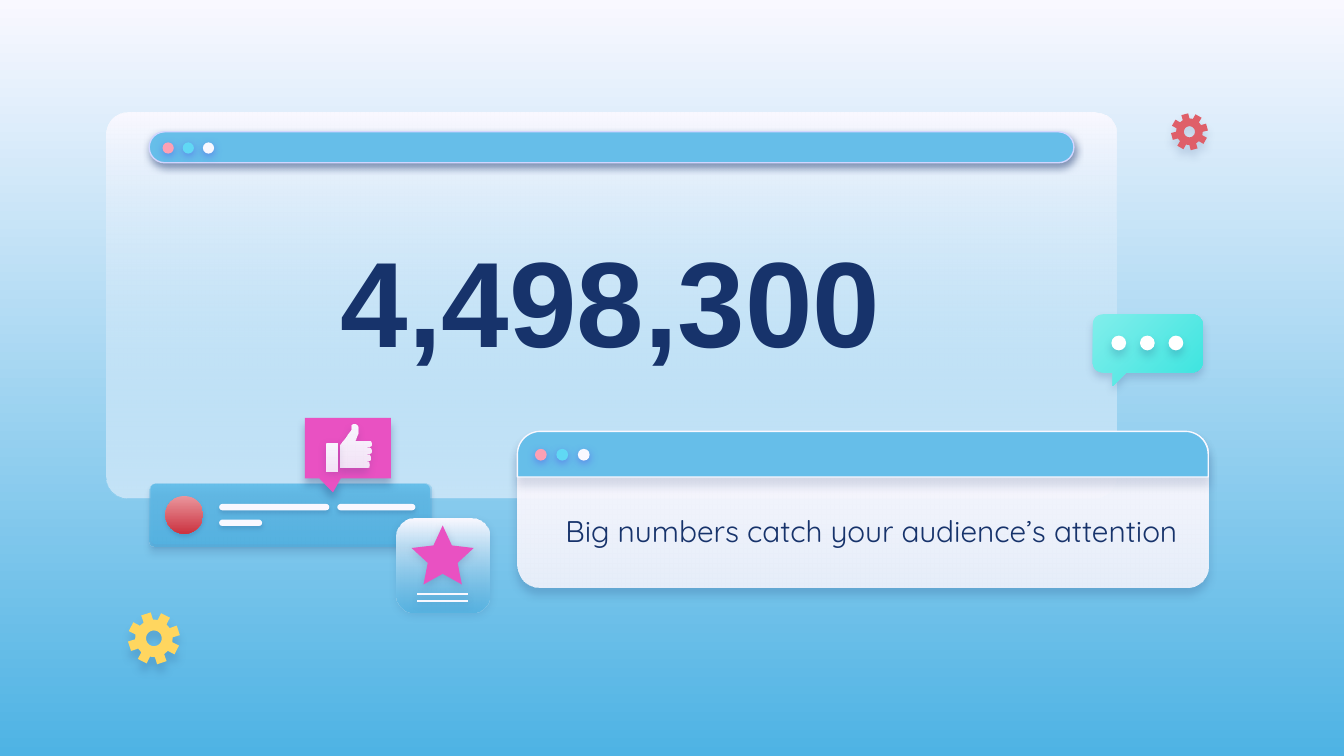
from dataclasses import dataclass
from math import cos, radians, sin
from typing import Optional, Union

from lxml import etree
from pptx import Presentation
from pptx.dml.color import RGBColor
from pptx.enum.shapes import MSO_CONNECTOR, MSO_SHAPE
from pptx.enum.text import MSO_ANCHOR, MSO_AUTO_SIZE, PP_ALIGN
from pptx.oxml.ns import qn
from pptx.util import Pt

ROUND, OVAL = MSO_SHAPE.ROUNDED_RECTANGLE, MSO_SHAPE.OVAL
TOP_ROUND, STAR = MSO_SHAPE.ROUND_2_SAME_RECTANGLE, MSO_SHAPE.STAR_5_POINT
CALLOUT = MSO_SHAPE.ROUNDED_RECTANGULAR_CALLOUT
STRAIGHT = MSO_CONNECTOR.STRAIGHT


@dataclass(frozen=True)
class Theme:
    navy: str = "17336B"
    blue: str = "66BEE9"
    deep_blue: str = "4EB3E4"
    pale: str = "F9F8FF"
    lilac: str = "D2D6FF"
    violet: str = "5352EE"
    rose: str = "FDA0B4"
    cyan: str = "60D8F4"
    pink: str = "E951C2"
    yellow: str = "FFD65F"
    red: str = "DF5F69"
    white: str = "FFFFFF"
    number_font: str = "Arial"
    body_font: str = "Quicksand"
    number_size: float = 65
    body_size: float = 16


T = Theme()


@dataclass(frozen=True)
class Gradient:
    start: str
    end: str
    start_alpha: int = 100
    end_alpha: int = 100
    angle: int = 90  # clockwise


@dataclass(frozen=True)
class Shadow:
    alpha: int
    blur: float = 4.5
    dist: float = 1.5
    color: str = T.navy


@dataclass(frozen=True)
class Style:
    fill: Union[str, Gradient]
    shadow: Optional[Shadow] = None
    line: Optional[str] = None


@dataclass(frozen=True)
class Box:
    x: float
    y: float
    w: float
    h: float

    def points(self) -> list:
        return [Pt(v) for v in (self.x, self.y, self.w, self.h)]


def set_gradient(fill, grad: Gradient) -> list:
    fill.gradient()
    fill.gradient_angle = 360 - grad.angle
    for stop, color, pos in zip(fill.gradient_stops, (grad.start, grad.end), (0, 1)):
        stop.color.rgb = RGBColor.from_string(color)
        stop.position = pos


def set_shadow(sp, shadow: Optional[Shadow]) -> None:
    effects = etree.SubElement(sp.element.spPr, qn("a:effectLst"))
    if shadow:
        outer = etree.SubElement(effects, qn("a:outerShdw"), blurRad=str(Pt(shadow.blur)),
                                 dist=str(Pt(shadow.dist)), dir="5400000",
                                 algn="bl", rotWithShape="0")
        clr = etree.SubElement(outer, qn("a:srgbClr"), val=shadow.color)
        etree.SubElement(clr, qn("a:alpha"), val=str(shadow.alpha * 1000))


def apply_style(sp, style: Style) -> None:
    if isinstance(style.fill, Gradient):
        set_gradient(sp.fill, style.fill)
        colors = sp.element.spPr.iterfind(f"{qn('a:gradFill')}//{qn('a:srgbClr')}")
        for clr, alpha in zip(colors, (style.fill.start_alpha, style.fill.end_alpha)):
            if alpha < 100:
                etree.SubElement(clr, qn("a:alpha"), val=str(alpha * 1000))
    else:
        sp.fill.solid()
        sp.fill.fore_color.rgb = RGBColor.from_string(style.fill)
    if style.line:
        sp.line.color.rgb = RGBColor.from_string(style.line)
        sp.line.width = Pt(0.75)
    else:
        sp.line.fill.background()
    set_shadow(sp, style.shadow)


def draw(s, kind, box: Box, style: Style, *adj: float) -> None:
    sp = s.shapes.add_shape(kind, *box.points())
    for i, value in enumerate(adj):
        sp.adjustments[i] = value
    apply_style(sp, style)


def draw_dots(s, first: Box, pitch: float, colors: tuple, shadow: Shadow) -> None:
    for i, color in enumerate(colors):
        draw(s, OVAL, Box(first.x + i * pitch, first.y, first.w, first.h), Style(color, shadow))


def draw_outline(s, contours: list, style: Style) -> None:
    to_pt = lambda pts: [(Pt(x), Pt(y)) for x, y in pts]
    first, *rest = [to_pt(c) for c in contours]
    fb = s.shapes.build_freeform(*first[0])
    fb.add_line_segments(first[1:])
    for pts in rest:
        fb.move_to(*pts[0])
        fb.add_line_segments(pts[1:])
    apply_style(fb.convert_to_shape(), style)


def trace(x: float, y: float, steps: list) -> list:
    """Points along steps relative to (x, y): pairs are corners, sextets Bézier curves."""
    pts = [steps[0]]
    for step in steps[1:]:
        if len(step) == 2:
            pts.append(step)
            continue
        p0, p1, p2, p3 = pts[-1], step[:2], step[2:4], step[4:]
        for t in (i / 8 for i in range(1, 9)):
            pts.append(tuple((1 - t) ** 3 * a + 3 * (1 - t) ** 2 * t * b
                             + 3 * (1 - t) * t ** 2 * c + t ** 3 * d
                             for a, b, c, d in zip(p0, p1, p2, p3)))
    return [(x + px, y + py) for px, py in pts]


def draw_gear(s, cx: float, cy: float, r: float, turn: float, style: Style) -> None:
    polar = lambda k, deg: (cx + k * r * cos(radians(deg)), cy + k * r * sin(radians(deg)))
    teeth = [polar(k, turn + 45 * i + d) for i in range(8)
             for k, d in ((0.72, -15), (1, -11), (1, 11), (0.72, 15))]
    hole = [polar(0.3, -a) for a in range(0, 361, 10)]
    draw_outline(s, [teeth + teeth[:1], hole], style)


def write(tf, text: str, font: str, size: float, anchor, bold: bool = False) -> None:
    tf.word_wrap, tf.auto_size, tf.vertical_anchor = True, MSO_AUTO_SIZE.NONE, anchor
    tf.margin_left = tf.margin_right = tf.margin_top = tf.margin_bottom = Pt(7.2)
    p = tf.paragraphs[0]
    p.alignment = PP_ALIGN.CENTER
    r = p.add_run()
    r.text = text
    r.font.name, r.font.size, r.font.bold = font, Pt(size), bold
    r.font.color.rgb = RGBColor.from_string(T.navy)


prs = Presentation()
prs.slide_width, prs.slide_height = Pt(720), Pt(405)
s = prs.slides.add_slide(prs.slide_layouts[5])
set_gradient(s.background.fill, Gradient(T.pale, T.deep_blue))
GLASS = Gradient(T.pale, T.pale, end_alpha=87)
WINDOW_DOTS, DOT_SHADOW = (T.rose, T.cyan, T.pale), Shadow(50, color=T.violet)

# Large window
panel = Box(56.9, 60.5, 541.4, 206.6)
draw(s, ROUND, panel, Style(T.pale), 0.056)
draw(s, ROUND, panel, Style(Gradient(T.pale, T.blue, end_alpha=35)), 0.056)
draw(s, ROUND, Box(79.9, 70.6, 495.4, 16.6), Style(T.blue, Shadow(50), T.lilac), 0.5)
draw_dots(s, Box(87.1, 76.3, 6, 6), 10.8, WINDOW_DOTS, DOT_SHADOW)

# Caption window
draw(s, ROUND, Box(277.2, 231.1, 370.1, 83.5), Style(GLASS, Shadow(22, dist=3.8)), 0.149)
draw(s, TOP_ROUND, Box(277.2, 231.1, 370.1, 24.5),
     Style(T.blue, Shadow(15, dist=3.8), T.pale), 0.5, 0)
draw_dots(s, Box(286.6, 240.5, 6.3, 6.3), 11.5, WINDOW_DOTS, DOT_SHADOW)

# Title, brought in front of the windows, and caption
title = s.shapes.title
title.left, title.top, title.width, title.height = Box(68.4, 87.8, 517.7, 118.8).points()
write(title.text_frame, "4,498,300", T.number_font, T.number_size, MSO_ANCHOR.BOTTOM, True)
title.element.getparent().append(title.element)
caption = s.shapes.add_textbox(*Box(289.4, 267.8, 355, 32.4).points())
write(caption.text_frame, "Big numbers catch your audience’s attention",
      T.body_font, T.body_size, MSO_ANCHOR.MIDDLE)

# Notification card
soft = Shadow(17, 2.2)
draw(s, ROUND, Box(80.6, 259.2, 149.8, 32.4), Style(T.blue, soft), 0.09)
draw(s, ROUND, Box(79.9, 259.2, 151.2, 33.8),
     Style(Gradient(T.blue, T.deep_blue, 35, 58), Shadow(19, 3.4, 3.8)), 0.09)
draw(s, OVAL, Box(88.6, 265.7, 20.2, 20.2), Style(Gradient("EA969D", "CB3340"), soft))
for x, y, w in ((117.4, 270, 59), (180.7, 270, 41.8), (117.4, 278.4, 23)):
    draw(s, ROUND, Box(x, y, w, 3.4), Style(T.pale, soft), 0.5)

# Chat bubble
bubble = [(5.8, 0), (53.2, 0), (56.2, 0, 59, 2.2, 59, 5.8), (59, 25.2),
          (59, 28.8, 56.2, 31, 53.2, 31), (18, 31), (10.8, 38.2), (10.8, 31), (5.8, 31),
          (2.2, 31, 0, 28.8, 0, 25.2), (0, 5.8), (0, 2.2, 2.2, 0, 5.8, 0)]
bubble_shadow = Shadow(18, dist=3)
draw_outline(s, [trace(585.4, 168.5, bubble)],
             Style(Gradient("81EEEB", "3AE4DF", angle=45), bubble_shadow))
draw_dots(s, Box(595.4, 179.8, 7.9, 7.9), 15.3, (T.white,) * 3, bubble_shadow)

# Star card
card_shadow = Shadow(19)
draw(s, ROUND, Box(212.4, 277.9, 50, 50),
     Style(Gradient(T.pale, T.deep_blue, end_alpha=58), card_shadow), 0.19)
draw(s, STAR, Box(220.5, 281.5, 33.3, 31.7), Style(T.pink, card_shadow), 0.24)
for y in (318.2, 322):
    line = s.shapes.add_connector(STRAIGHT, Pt(223.6), Pt(y), Pt(250.9), Pt(y))
    line.line.color.rgb = RGBColor.from_string(T.pale)
    line.line.width = Pt(0.75)
    set_shadow(line, card_shadow)

# Thumbs-up callout: the four fingers run from bottom to top
draw(s, CALLOUT, Box(163.4, 223.9, 46.1, 32.4),
     Style(T.pink, Shadow(31, dist=3.8)), -0.174, 0.731, 0)
fingers = [(bulge, 23 - 3.6 * i, bulge, 19.4 - 3.6 * i, 14, 19.4 - 3.6 * i)
           for i, bulge in enumerate((15.5, 16.4, 17.5, 17.5))]
thumb = [(7.2, 0), (6.5, 0, 5.8, 0.4, 5.8, 0.7), (5.8, 2.9), (0, 10.8), (0, 22.3),
         (0, 22.7, 0.3, 23, 0.7, 23), (14, 23), *fingers, (7.9, 8.6),
         (8.6, 7.2, 9.4, 5, 9.4, 3.6), (9.4, 2.2), (9.4, 0.7, 8.6, 0, 7.2, 0)]
draw_outline(s, [trace(182.2, 227.5, thumb)], Style(GLASS, Shadow(19, dist=3)))
draw(s, ROUND, Box(174.7, 237.6, 6.3, 15.1), Style(GLASS, Shadow(16)), 0.1)

# Gears
draw_gear(s, 82.5, 342, 14, -108, Style(T.yellow, Shadow(16, dist=4.5)))
draw_gear(s, 637.2, 70.6, 9.9, -105, Style(T.red, Shadow(15, dist=3.8)))

prs.save("out.pptx")
